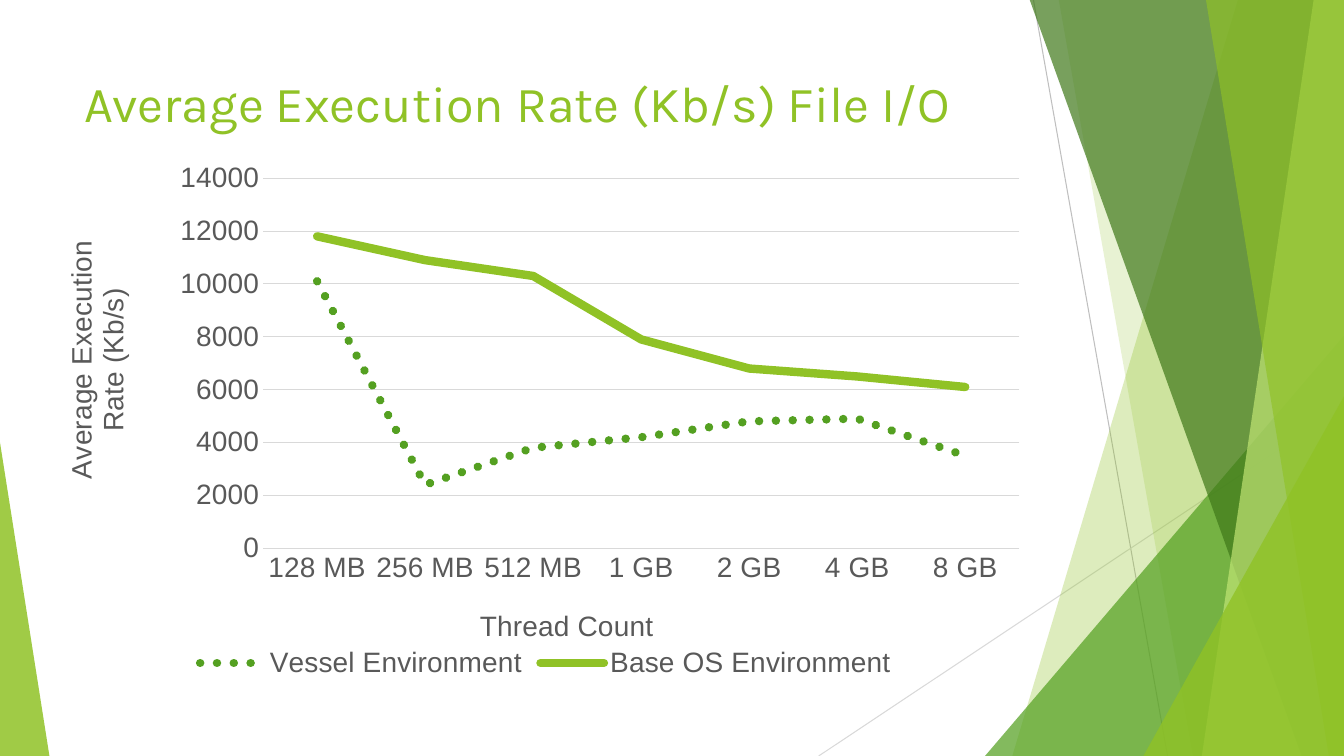
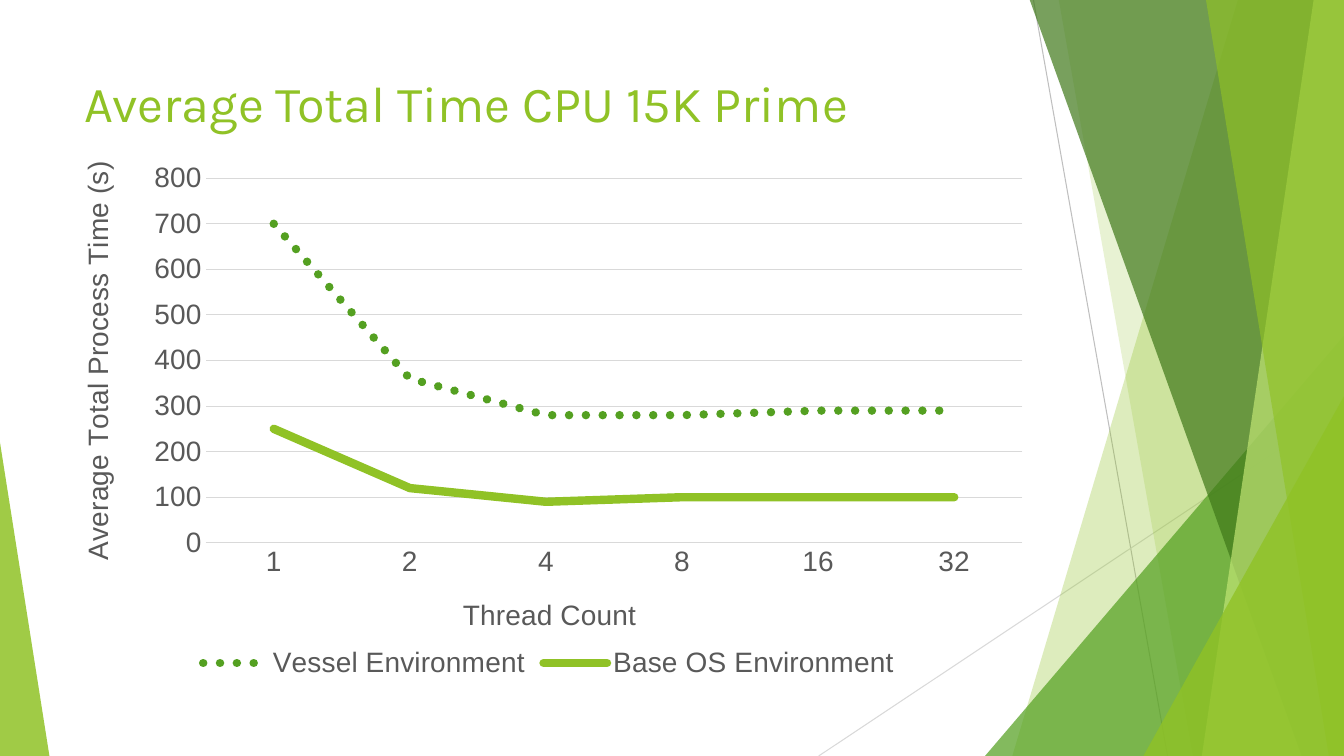
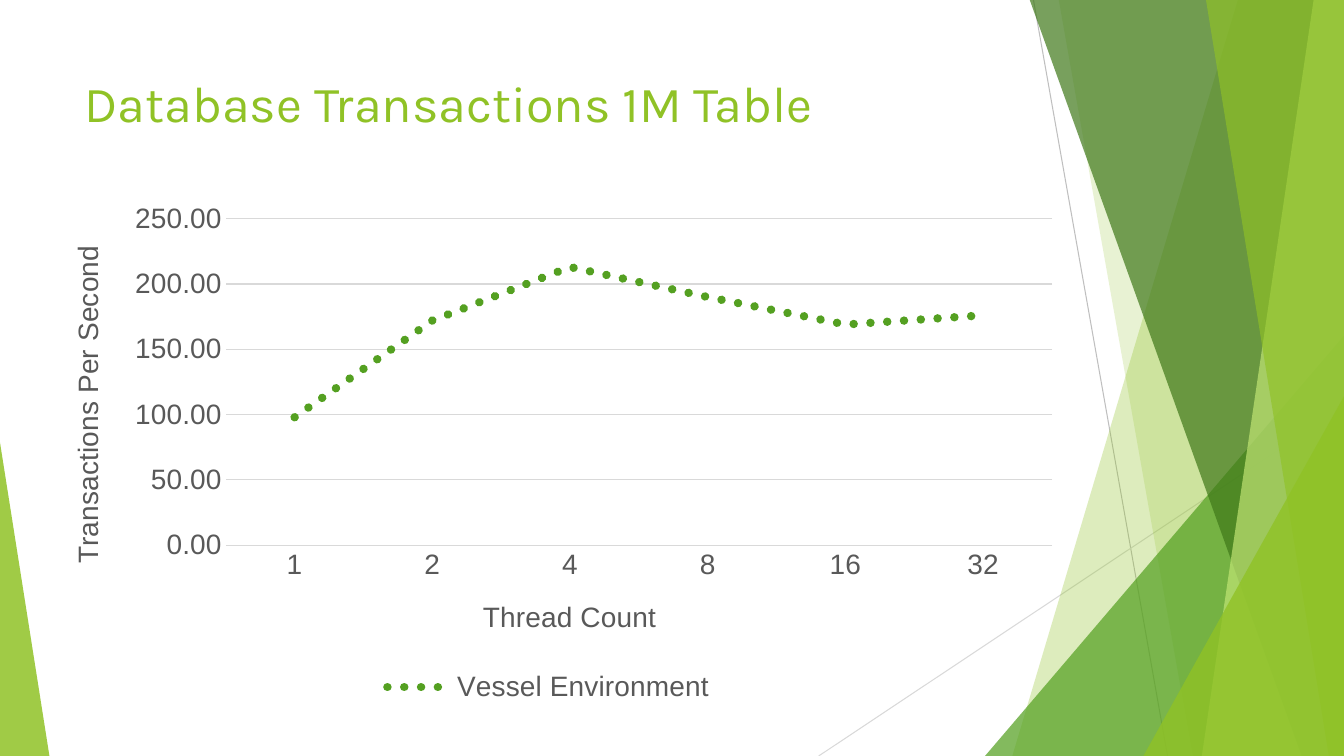
"""Three benchmark line charts on a shared green faceted layout."""
from dataclasses import dataclass

from lxml import etree
from pptx import Presentation
from pptx import util as u
from pptx.chart.data import CategoryChartData
from pptx.dml.color import RGBColor
from pptx.enum import chart as charts
from pptx.enum import dml, shapes, text
from pptx.oxml.ns import qn

LIME = RGBColor(0x90, 0xC2, 0x26)
PALE_LIME = RGBColor(0xC0, 0xE4, 0x74)
GREEN = RGBColor(0x54, 0xA0, 0x21)
DARK_GREEN = RGBColor(0x3F, 0x78, 0x19)
TEXT_GREY = RGBColor(0x59, 0x59, 0x59)
LINE_GREY = RGBColor(0xBF, 0xBF, 0xBF)
GRID_GREY = RGBColor(0xD9, 0xD9, 0xD9)

WIDTH, HEIGHT = 13.33, 7.5
TITLE_BOX = (0.74, 0.67, 9.4, 1.44)
TITLE_FONT, CHART_FONT = "Karla", "Arial"
CONTAINER, BASE = "Vessel Environment", "Base OS Environment"
THREADS = ("1", "2", "4", "8", "16", "32")
SERIES_STYLES = {
    CONTAINER: (GREEN, dml.MSO_LINE.ROUND_DOT),
    BASE: (LIME, dml.MSO_LINE.SOLID),
}


@dataclass
class Benchmark:
    """One chart slide; plot and title places are fractions of the chart."""
    title: str
    box: tuple
    categories: tuple
    series: dict
    value_title: tuple
    value_format: str
    maximum: int
    plot: tuple
    value_title_at: tuple
    category_title_at: tuple


BENCHMARKS = (
    Benchmark(
        "Average Execution Rate (Kb/s) File I/O", (0.41, 1.39, 10, 5.4),
        ("128 MB", "256 MB", "512 MB", "1 GB", "2 GB", "4 GB", "8 GB"),
        {CONTAINER: (10100, 2400, 3800, 4200, 4800, 4900, 3500),
         BASE: (11800, 10900, 10300, 7900, 6800, 6500, 6100)},
        ("Average Execution", "Rate (Kb/s)"), "0", 14000,
        (0.22, 0.07, 0.75, 0.68), (0.02, 0.18), (0.43, 0.85)),
    Benchmark(
        "Average Total Time CPU 15K Prime", (0.44, 1.39, 10, 5.4), THREADS,
        {CONTAINER: (700, 360, 280, 280, 290, 290),
         BASE: (250, 120, 90, 100, 100, 100)},
        ("Average Total Process Time (s)",), "0", 800,
        (0.16, 0.07, 0.81, 0.67), (0.03, 0.03), (0.41, 0.83)),
    Benchmark(
        "Database Transactions 1M Table", (0.44, 1.63, 10, 5.4), THREADS,
        {CONTAINER: (98, 172, 213, 190, 169, 176)},
        ("Transactions Per Second",), "0.00", 250,
        (0.18, 0.1, 0.82, 0.6), (0.02, 0.14), (0.43, 0.79)),
)


def inches(values):
    """Turn plain numbers into lengths."""
    return [u.Inches(value) for value in values]


def paint(shape, color, opacity):
    """Give a shape a translucent fill without outline or shadow."""
    shape.shadow.inherit = False
    shape.line.fill.background()
    shape.fill.solid()
    shape.fill.fore_color.rgb = color
    for tint in shape.element.spPr.iter(qn("a:srgbClr")):
        etree.SubElement(tint, qn("a:alpha"), val=str(opacity * 1000))


def add_ray(group, start, end, color):
    """Draw a thin straight line."""
    ray = group.shapes.add_connector(
        shapes.MSO_CONNECTOR.STRAIGHT, *inches(start + end))
    ray.line.color.rgb = color
    ray.line.width = u.Pt(0.75)
    etree.SubElement(ray.element.spPr, qn("a:effectLst"))


def add_facet(group, top_x, bottom_x, color, opacity):
    """Fill the area between a slanted edge and the right slide edge."""
    top = -0.01
    corners = [(WIDTH, top), (WIDTH, HEIGHT), (bottom_x, HEIGHT)]
    builder = group.shapes.build_freeform(*inches((top_x, top)))
    builder.add_line_segments([inches(corner) for corner in corners], close=True)
    paint(builder.convert_to_shape(), color, opacity)


def add_corner(group, left, top, width, apex, color, opacity):
    """Stand a triangle on the bottom edge, its apex at one side."""
    corner = group.shapes.add_shape(
        shapes.MSO_SHAPE.ISOSCELES_TRIANGLE,
        *inches((left, top, width, HEIGHT - top)))
    corner.adjustments[0] = apex
    paint(corner, color, opacity)


def add_backdrop(page):
    """Draw the decoration and move it into the layout the slides share."""
    group = page.shapes.add_group_shape()
    add_ray(group, (10.25, 0), (11.58, HEIGHT), LINE_GREY)
    add_ray(group, (WIDTH, 4.03), (8.12, HEIGHT), GRID_GREY)
    add_facet(group, 12.28, 10.04, LIME, 30)
    add_facet(group, 10.5, 11.83, LIME, 20)
    add_corner(group, 9.77, 3.33, 3.56, 1, GREEN, 72)
    add_facet(group, 10.21, 12.91, DARK_GREEN, 70)
    add_facet(group, 13.03, 11.92, PALE_LIME, 70)
    add_facet(group, 11.96, 13.18, LIME, 65)
    add_corner(group, 11.34, 3.93, 1.99, 1, LIME, 80)
    add_corner(group, 0, 4.39, 0.49, 0, LIME, 85)
    layout = page.slide_layout.element
    layout.cSld.spTree.insert(2, group.element)
    for number, label in enumerate(layout.iter(qn("p:cNvPr")), start=1):
        label.set("id", str(number))


def place_box(shape, box):
    """Move a shape to a box given in inches."""
    shape.left, shape.top, shape.width, shape.height = inches(box)


def write_title(page, words):
    """Fill the title placeholder."""
    frame = page.shapes.title.text_frame
    frame.vertical_anchor = text.MSO_ANCHOR.TOP
    frame.auto_size = text.MSO_AUTO_SIZE.NONE
    frame.word_wrap = True
    para = frame.paragraphs[0]
    para.alignment = text.PP_ALIGN.LEFT
    span = para.add_run()
    span.text = words
    style_font(span.font, TITLE_FONT, 36, LIME)


def style_font(font, name, size, color):
    """Set the face, size and colour of a font."""
    font.name, font.size, font.bold = name, u.Pt(size), False
    font.color.rgb = color


def place_part(part, fractions, inner=False):
    """Fix a chart part at x, y and, if given, width and height."""
    for old in part.findall(qn("c:layout")):
        part.remove(old)
    layout = etree.Element(qn("c:layout"))
    part.insert(len(part.findall(qn("c:tx"))), layout)
    manual = etree.SubElement(layout, qn("c:manualLayout"))
    if inner:
        etree.SubElement(manual, qn("c:layoutTarget"), val="inner")
    for side in ("xMode", "yMode"):
        etree.SubElement(manual, qn("c:" + side), val="edge")
    for side, fraction in zip("xywh", fractions):
        etree.SubElement(manual, qn("c:" + side), val=str(fraction))


def title_axis(axis, lines, position, turn):
    """Write an axis title, one paragraph a line, turned in degrees."""
    title = axis.axis_title
    frame = title.text_frame
    for index, line in enumerate(lines):
        para = frame.add_paragraph() if index else frame.paragraphs[0]
        span = para.add_run()
        span.text = line
        style_font(span.font, CHART_FONT, 20, TEXT_GREY)
    for body in title.element.iter(qn("a:bodyPr")):
        body.set("rot", str(turn * 60000))
        body.set("vert", "horz")
    place_part(title.element, position)


def style_axes(chart, benchmark):
    """Format both axes, their titles and the grid."""
    category, value = chart.category_axis, chart.value_axis
    for axis in (category, value):
        axis.major_tick_mark = axis.minor_tick_mark = charts.XL_TICK_MARK.NONE
        style_font(axis.tick_labels.font, CHART_FONT, 20, TEXT_GREY)
    value.has_major_gridlines = True
    for line in (category.format.line, value.major_gridlines.format.line):
        line.color.rgb = GRID_GREY
        line.width = u.Pt(0.75)
    value.format.line.fill.background()
    value.minimum_scale, value.maximum_scale = 0, benchmark.maximum
    value.tick_labels.number_format = benchmark.value_format
    value.tick_labels.number_format_is_linked = False
    title_axis(category, ("Thread Count",), benchmark.category_title_at, 0)
    title_axis(value, benchmark.value_title, benchmark.value_title_at, -90)


def style_series(chart):
    """Give each series its colour, dash and round line ends."""
    plot = chart.plots[0]
    plot.vary_by_categories = False
    for series in plot.series:
        line = series.format.line
        line.color.rgb, line.dash_style = SERIES_STYLES[series.name]
        line.width = u.Pt(6)
        series.smooth = False
    for outline in chart.element.xpath(".//c:ser/c:spPr/a:ln"):
        outline.set("cap", "rnd")


def add_line_chart(page, benchmark):
    """Place the line chart with its legend in the benchmark's box."""
    table = CategoryChartData(number_format=benchmark.value_format)
    table.categories = benchmark.categories
    for name, values in benchmark.series.items():
        table.add_series(name, values)
    chart = page.shapes.add_chart(
        charts.XL_CHART_TYPE.LINE, *inches(benchmark.box), table).chart
    style_font(chart.font, CHART_FONT, 20, TEXT_GREY)
    chart.has_title = False
    chart.has_legend = True
    chart.legend.position = charts.XL_LEGEND_POSITION.BOTTOM
    chart.legend.include_in_layout = False
    style_font(chart.legend.font, CHART_FONT, 20, TEXT_GREY)
    style_axes(chart, benchmark)
    style_series(chart)
    place_part(chart.element.xpath("c:chart/c:plotArea")[0],
               benchmark.plot, inner=True)


def add_benchmark_page(deck, layout, benchmark):
    """Add one slide with a title and a line chart."""
    page = deck.slides.add_slide(layout)
    place_box(page.shapes.title, TITLE_BOX)
    write_title(page, benchmark.title)
    add_line_chart(page, benchmark)
    return page


def main():
    """Build and save the deck."""
    deck = Presentation()
    deck.slide_width, deck.slide_height = inches((WIDTH, HEIGHT))
    layout = deck.slide_layouts.get_by_name("Title Only")
    pages = [add_benchmark_page(deck, layout, item) for item in BENCHMARKS]
    add_backdrop(pages[0])
    deck.save("out.pptx")


main()
